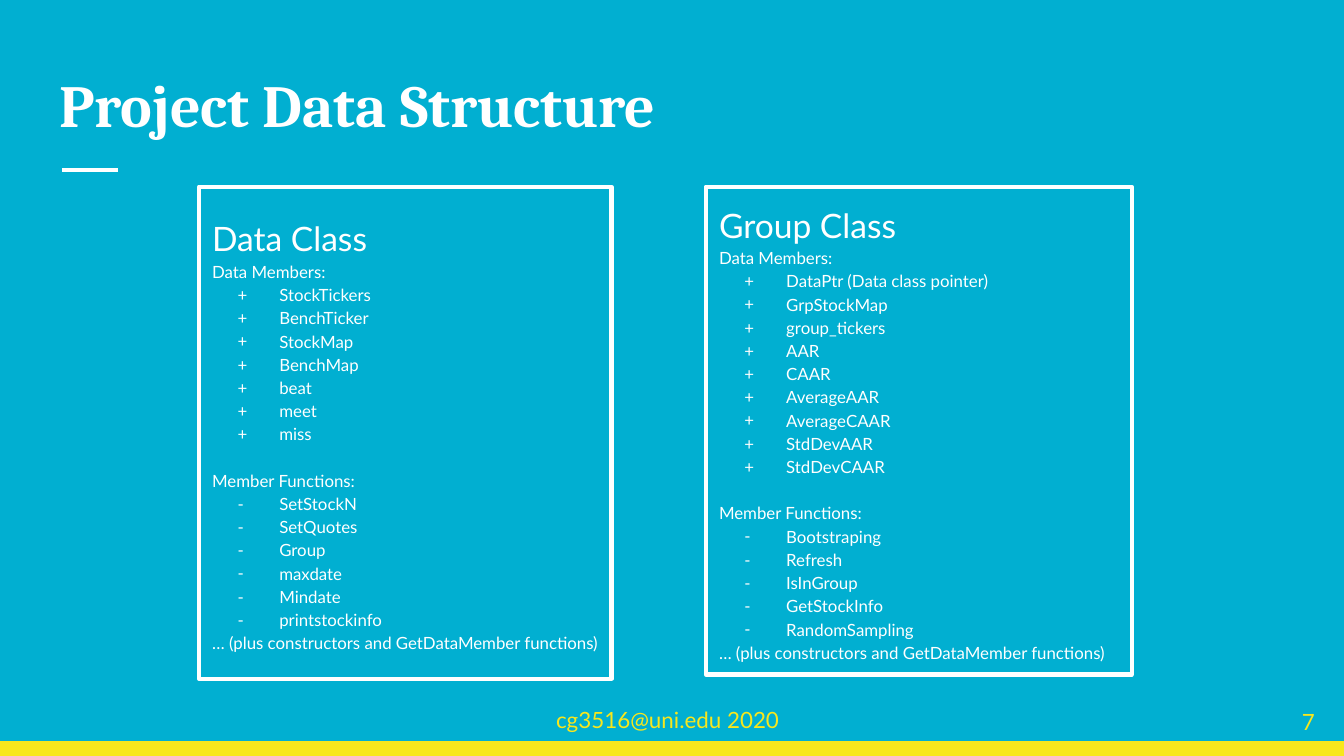
from lxml.etree import SubElement
from pptx import Presentation
from pptx.dml.color import RGBColor
from pptx.enum.shapes import MSO_CONNECTOR, MSO_SHAPE
from pptx.enum.text import MSO_ANCHOR, PP_ALIGN
from pptx.oxml.ns import qn
from pptx.util import Cm, Pt

COLORS = {"background": "01AFD1", "accent": "F8E71C", "text": "FFFFFF"}
TITLE = "Project Data Structure"
CREDIT = "cg3516@uni.edu 2020"
PAGE_NUMBER = "7"
CLOSING = "… (plus constructors and GetDataMember functions)"

# Boxes are left, top, width, height in centimetres.
CLASSES = [
    {
        "name": "Data Class",
        "box": (3.76, 3.53, 7.8, 9.3),
        "members": ["StockTickers", "BenchTicker", "StockMap", "BenchMap",
                    "beat", "meet", "miss"],
        "functions": ["SetStockN", "SetQuotes", "Group", "maxdate", "Mindate",
                      "printstockinfo"],
    },
    {
        "name": "Group Class",
        "box": (13.34, 3.53, 8.05, 9.22),
        "members": ["DataPtr (Data class pointer)", "GrpStockMap",
                    "group_tickers", "AAR", "CAAR", "AverageAAR",
                    "AverageCAAR", "StdDevAAR", "StdDevCAAR"],
        "functions": ["Bootstraping", "Refresh", "IsInGroup", "GetStockInfo",
                      "RandomSampling"],
    },
]


def color(name):
    return RGBColor.from_string(COLORS[name])


def cm_box(box):
    return [Cm(length) for length in box]


def prepare_frame(frame, anchor=MSO_ANCHOR.TOP):
    frame.word_wrap = True
    frame.vertical_anchor = anchor
    frame.margin_left = frame.margin_right = Cm(0.25)
    frame.margin_top = frame.margin_bottom = Cm(0.25)


def write(paragraph, text, size=9, font="Lato", ink="text", bold=False,
          align=PP_ALIGN.LEFT, spacing=1.0, before=0, bullet=None):
    run = paragraph.add_run()
    run.text = text
    run.font.size = Pt(size)
    run.font.name = font
    run.font.bold = bold
    run.font.color.rgb = color(ink)
    paragraph.alignment = align
    paragraph.line_spacing = spacing
    paragraph.space_before = Pt(before)
    if bullet:
        properties = paragraph._p.get_or_add_pPr()
        properties.set("marL", str(Cm(1.27)))
        properties.set("indent", str(Cm(-0.79)))
        bullet_color = SubElement(properties, qn("a:buClr"))
        SubElement(bullet_color, qn("a:srgbClr"), val=COLORS[ink])
        SubElement(properties, qn("a:buFont"), typeface=font)
        SubElement(properties, qn("a:buChar"), char=bullet)


def add_label(slide, box, text, anchor=MSO_ANCHOR.TOP, **text_format):
    frame = slide.shapes.add_textbox(*cm_box(box)).text_frame
    prepare_frame(frame, anchor)
    write(frame.paragraphs[0], text, **text_format)


def add_class_panel(slide, entry):
    panel = slide.shapes.add_shape(MSO_SHAPE.RECTANGLE, *cm_box(entry["box"]))
    panel.shadow.inherit = False
    panel.fill.background()
    panel.line.color.rgb = color("text")
    panel.line.width = Pt(2.25)
    frame = panel.text_frame
    prepare_frame(frame, MSO_ANCHOR.MIDDLE)

    lines = [(entry["name"], {"size": 18}), ("Data Members:", {})]
    lines += [(member, {"bullet": "+"}) for member in entry["members"]]
    lines.append(("Member Functions:", {"before": 12.4}))
    lines += [(function, {"bullet": "-"}) for function in entry["functions"]]
    lines.append((CLOSING, {}))
    for index, (text, text_format) in enumerate(lines):
        paragraph = frame.add_paragraph() if index else frame.paragraphs[0]
        write(paragraph, text, spacing=1.15, **text_format)


def main():
    presentation = Presentation()
    presentation.slide_width, presentation.slide_height = Cm(25.4), Cm(14.29)
    slide = presentation.slides.add_slide(presentation.slide_layouts[5])
    slide.background.fill.solid()
    slide.background.fill.fore_color.rgb = color("background")

    footer_bar = slide.shapes.add_shape(
        MSO_SHAPE.RECTANGLE, *cm_box((0, 14.01, 25.4, 0.28)))
    footer_bar.shadow.inherit = False
    footer_bar.fill.solid()
    footer_bar.fill.fore_color.rgb = color("accent")
    footer_bar.line.fill.background()

    title_rule = slide.shapes.add_connector(
        MSO_CONNECTOR.STRAIGHT, Cm(1.17), Cm(3.21), Cm(2.23), Cm(3.21))
    title_rule.line.color.rgb = color("text")
    title_rule.line.width = Pt(2.25)
    SubElement(title_rule._element.spPr, qn("a:effectLst"))

    add_label(slide, (10.26, 13.1, 4.88, 0.82), CREDIT, size=12, ink="accent")

    title = slide.shapes.title
    title.left, title.top, title.width, title.height = cm_box(
        (0.87, 1.04, 23.67, 1.8))
    prepare_frame(title.text_frame)
    write(title.text_frame.paragraphs[0], TITLE, size=32, font="Cambria",
          bold=True)

    for entry in CLASSES:
        add_class_panel(slide, entry)

    add_label(slide, (24.03, 13.1, 1.07, 1.09), PAGE_NUMBER,
              anchor=MSO_ANCHOR.MIDDLE, size=12, ink="accent",
              align=PP_ALIGN.RIGHT)
    presentation.save("out.pptx")


if __name__ == "__main__":
    main()
